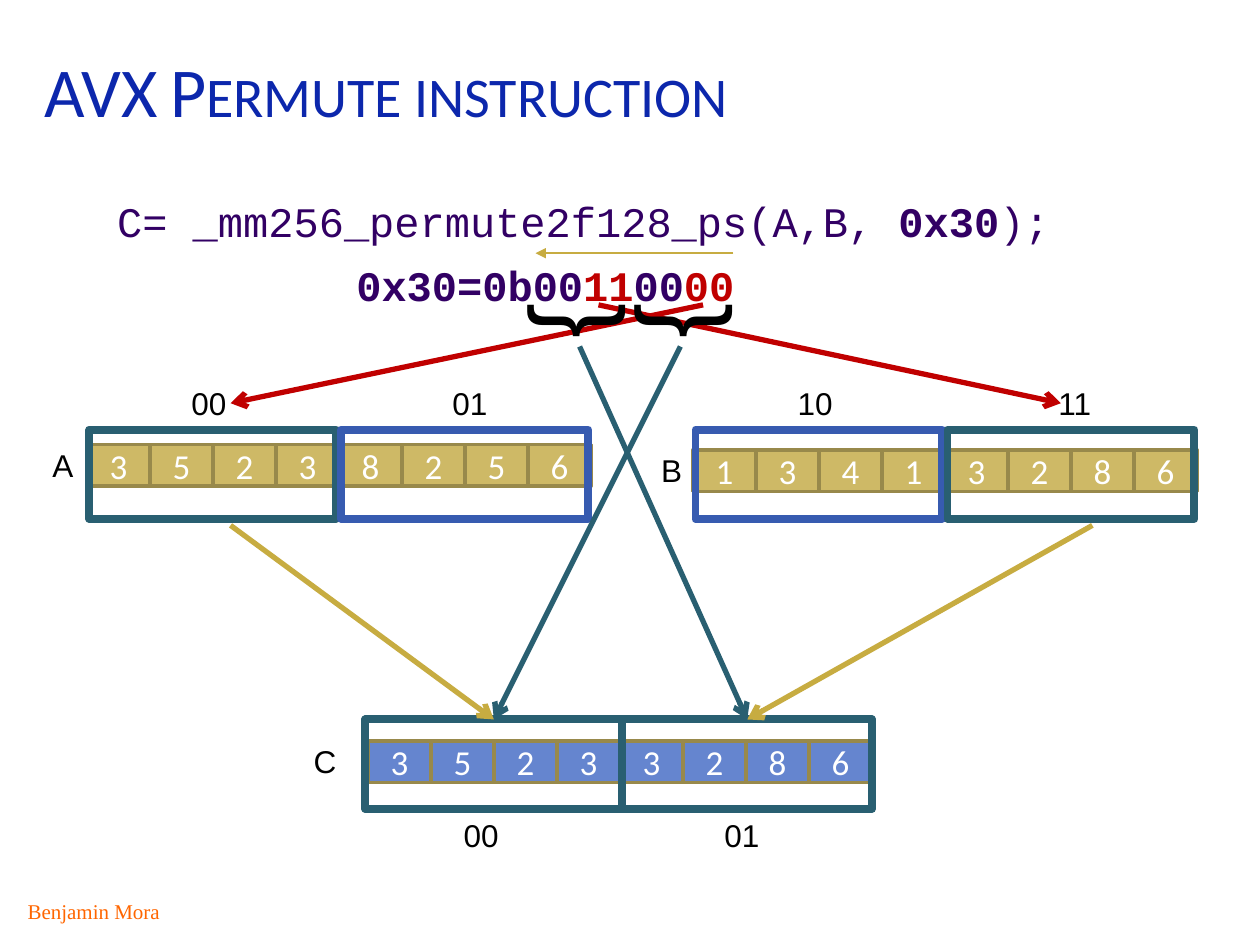
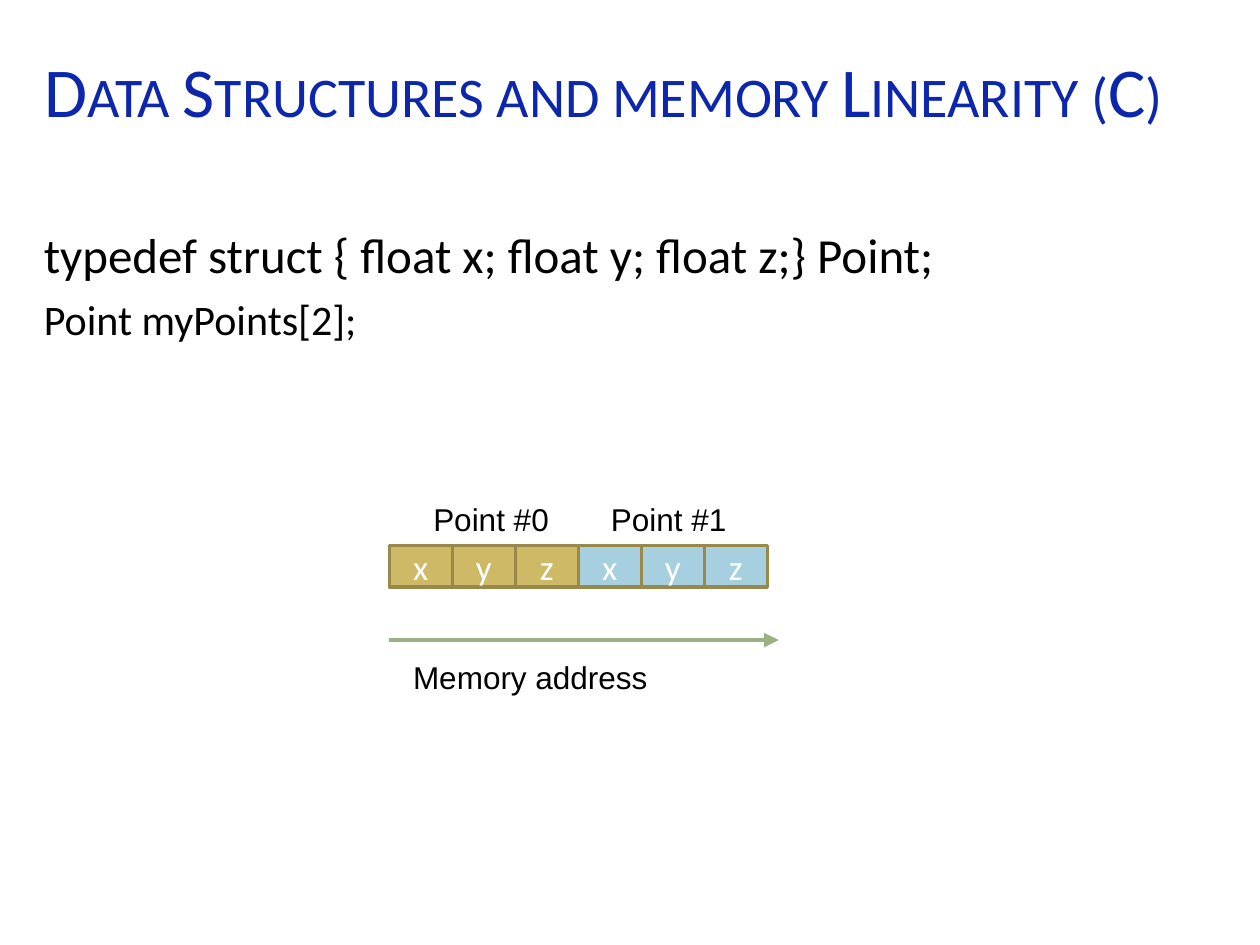
"""Build two slides on vector permutes and memory layout."""
from dataclasses import dataclass
from typing import Any

from lxml import etree
from pptx import Presentation
from pptx import util as u
from pptx.dml.color import RGBColor
from pptx.enum import shapes, text
from pptx.oxml.ns import qn

PX = 9144
COLORS = {
    "title": "0C27AC", "foot": "FF6600", "black": "000000", "white": "FFFFFF",
    "sand": "CEB966", "edge": "98894B", "blue": "6585CF", "sky": "A6D0DF",
    "teal": "295F71", "navy": "375BB0", "gold": "C7AC41", "sage": "9CB084",
    "code": "320064", "red": "C00000",
}
CELL_W, CELL_H = 50, 33
LABEL_H = 40
LEFT, MID = text.PP_ALIGN.LEFT, text.PP_ALIGN.CENTER


@dataclass
class Bit:
    words: str
    color: str = "code"
    bold: bool = False


@dataclass
class Note:
    x: int
    y: int
    w: int
    h: int
    bits: list[Bit]
    size: int = 18
    font: str = "Arial"
    align: Any = LEFT
    inset: int = 10
    tab: int = 0
    turn: int = 0
    wrap: bool = True


@dataclass
class Row:
    x: int
    y: int
    items: str
    fill: str


@dataclass
class Frame:
    x: int
    y: int
    w: int
    color: str
    h: int = 71


@dataclass
class Arrow:
    x1: int
    y1: int
    x2: int
    y2: int
    color: str
    width: float = 3
    tip: str = "arrow"
    goal: Any = None


def px(*sizes: int) -> list[int]:
    return [u.Emu(size * PX) for size in sizes]


def rgb(name: str) -> RGBColor:
    return RGBColor.from_string(COLORS[name])


def style(run: Any, size: int, font: str, color: str, bold: bool = False) -> None:
    run.font.size = u.Pt(size)
    run.font.name = font
    run.font.bold = bold
    run.font.color.rgb = rgb(color)


def start(deck: Any, words: str) -> Any:
    page = deck.slides.add_slide(deck.slide_layouts[5])
    head = page.shapes.title
    head.left, head.top, head.width, head.height = px(25, 17, 950, 92)
    frame = head.text_frame
    frame.text = words
    frame.auto_size = text.MSO_AUTO_SIZE.NONE
    frame.vertical_anchor = text.MSO_ANCHOR.BOTTOM
    line = frame.paragraphs[0]
    line.alignment = LEFT
    style(line.runs[0], 40, "Calibri", "title")
    line.runs[0].font._element.set("cap", "small")
    return page


def write(page: Any, note: Note) -> None:
    box = page.shapes.add_textbox(*px(note.x, note.y, note.w, note.h))
    box.rotation = note.turn
    frame = box.text_frame
    frame.word_wrap = note.wrap
    frame.margin_left = px(note.inset)[0]
    line = frame.paragraphs[0]
    line.alignment = note.align
    if note.tab:
        stops = etree.SubElement(line._p.get_or_add_pPr(), qn("a:tabLst"))
        etree.SubElement(stops, qn("a:tab"), pos=str(note.tab * PX), algn="l")
    for bit in note.bits:
        run = line.add_run()
        run.text = bit.words
        style(run, note.size, note.font, bit.color, bit.bold)


def label(page: Any, x: int, y: int, w: int, words: str, align: Any = LEFT) -> None:
    write(page, Note(x, y, w, LABEL_H, [Bit(words, "black")], align=align))


def pair(page: Any, x: int, y: int, first: str, last: str) -> None:
    bits = [Bit(f"{first}\t{last}", "black")]
    write(page, Note(x, y, 343, LABEL_H, bits, inset=51, tab=207))


def block(page: Any, x: int, y: int, w: int, h: int, edge: str, width: float) -> Any:
    box = page.shapes.add_shape(shapes.MSO_SHAPE.RECTANGLE, *px(x, y, w, h))
    box.shadow.inherit = False
    box.fill.background()
    box.line.color.rgb = rgb(edge)
    box.line.width = u.Pt(width)
    return box


def cells(page: Any, row: Row) -> None:
    for i, item in enumerate(row.items):
        box = block(page, row.x + i * CELL_W, row.y, CELL_W, CELL_H, "edge", 2)
        box.fill.solid()
        box.fill.fore_color.rgb = rgb(row.fill)
        box.text_frame.text = item
        box.text_frame.vertical_anchor = text.MSO_ANCHOR.MIDDLE
        line = box.text_frame.paragraphs[0]
        line.alignment = MID
        style(line.runs[0], 20, "Calibri", "white")


def outline(page: Any, part: Frame) -> Any:
    return block(page, part.x, part.y, part.w, part.h, part.color, 4.5)


def point(page: Any, arrow: Arrow) -> None:
    ends = px(arrow.x1, arrow.y1, arrow.x2, arrow.y2)
    link = page.shapes.add_connector(shapes.MSO_CONNECTOR.STRAIGHT, *ends)
    if arrow.goal is not None:
        link.end_connect(arrow.goal, 0)
    link.line.color.rgb = rgb(arrow.color)
    link.line.width = u.Pt(arrow.width)
    etree.SubElement(link.line._get_or_add_ln(), qn("a:tailEnd"), type=arrow.tip)
    etree.SubElement(link._element.spPr, qn("a:effectLst"))


def permute(deck: Any) -> None:
    page = start(deck, "AVX Permute instruction")
    write(page, Note(8, 708, 133, 30, [Bit("Benjamin Mora", "foot")], 12,
                     "Times New Roman", MID))
    for row in (Row(69, 353, "35238256", "sand"), Row(550, 357, "13413286", "sand"),
                Row(292, 588, "35233286", "blue")):
        cells(page, row)
    for x, y, name in ((25, 349, "A"), (508, 353, "B"), (233, 584, "C")):
        label(page, x, y, CELL_W, name, MID)
    for x, y, first, last in ((101, 300, "00", "01"), (582, 300, "10", "11"),
                              (317, 643, "00", "01")):
        pair(page, x, y, first, last)
    for x, color in ((71, "teal"), (271, "navy"), (552, "navy"), (752, "teal")):
        outline(page, Frame(x, 341, 196, color))
    low = outline(page, Frame(290, 571, 204, "teal"))
    high = outline(page, Frame(494, 571, 198, "teal"))

    write(page, Note(33, 150, 917, 51, [
        Bit("C= _mm256_permute2f128_ps(A,B, "), Bit("0x30", bold=True), Bit(");"),
    ], 24, "Courier New", inset=60))
    write(page, Note(273, 201, 323, 51, [
        Bit("0x30=0b00", bold=True), Bit("11", "red", True),
        Bit("00", bold=True), Bit("00", "red", True),
    ], 24, "Courier New", wrap=False))
    for arrow in (
        Arrow(540, 275, 392, 571, "teal", goal=low),
        Arrow(183, 417, 392, 571, "gold", goal=low),
        Arrow(867, 417, 593, 571, "gold", goal=high),
        Arrow(558, 242, 183, 320, "red"),
        Arrow(475, 242, 842, 320, "red"),
        Arrow(460, 275, 593, 571, "teal", goal=high),
        Arrow(582, 201, 425, 201, "gold", 1, "triangle"),
    ):
        point(page, arrow)
    for x in (441, 526):
        write(page, Note(x, 203, 55, 111, [Bit("}", "black")], 60, turn=90))


def memory(deck: Any) -> None:
    page = start(deck, "Data Structures and memory Linearity (C)")
    body = page.shapes.add_textbox(*px(25, 173, 950, 94)).text_frame
    body.word_wrap = True
    body.text = ("typedef struct { float x; float y; float z;} Point;\n"
                 "Point myPoints[2];")
    for line, size in zip(body.paragraphs, (28, 24)):
        style(line.runs[0], size, "Calibri", "black")
    body.paragraphs[1].space_before = u.Pt(6)
    for i, fill in enumerate(("sand", "sky")):
        cells(page, Row(309 + i * 3 * CELL_W, 433, "xyz", fill))
        label(page, 334 + i * 141, 392, 201, f"Point #{i}")
    point(page, Arrow(309, 508, 618, 508, "sage", 2.75, "triangle"))
    label(page, 318, 517, 292, "Memory address")


def main() -> None:
    deck = Presentation()
    deck.slide_width, deck.slide_height = px(1000, 750)
    permute(deck)
    memory(deck)
    deck.save("out.pptx")


if __name__ == "__main__":
    main()
